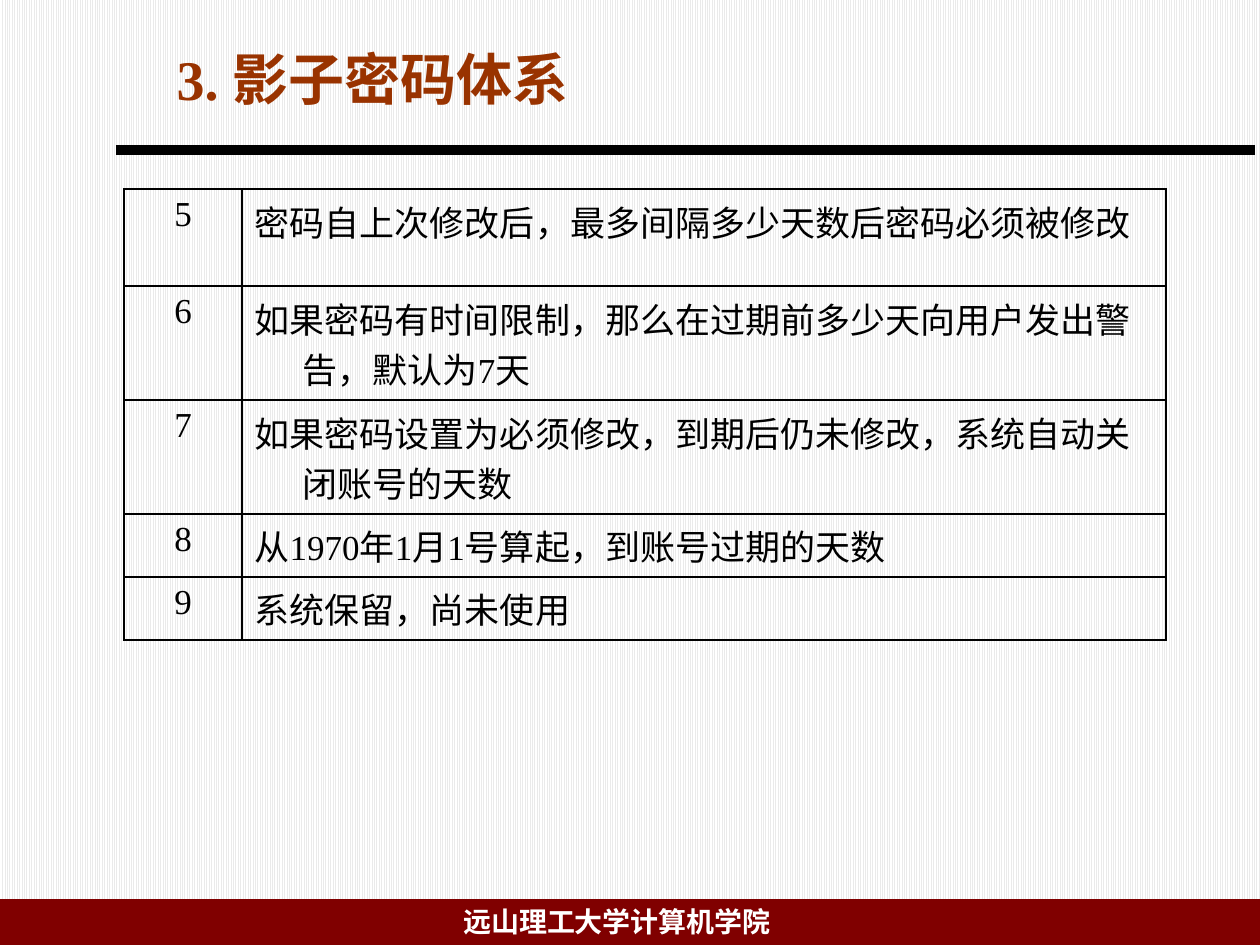
import pptx
import pptx.util
import pptx.dml.color
import pptx.enum.dml
import pptx.enum.shapes
import pptx.enum.text
import pptx.oxml.ns
from lxml import etree

# Content
TITLE = "3. 影子密码体系"
FOOTER = "远山理工大学计算机学院"
FIELDS = [
    ("5", "密码自上次修改后，最多间隔多少天数后密码必须被修改"),
    ("6", "如果密码有时间限制，那么在过期前多少天向用户发出警告，默认为7天"),
    ("7", "如果密码设置为必须修改，到期后仍未修改，系统自动关闭账号的天数"),
    ("8", "从1970年1月1号算起，到账号过期的天数"),
    ("9", "系统保留，尚未使用"),
]

# Layout in px, 126 to the inch
SLIDE_SIZE = (1260, 945)
COLUMN_WIDTHS = [118, 924]
ROW_HEIGHTS = [97, 114, 114, 63, 63]
HANGING_INDENT = 48

FONT = "Times New Roman"
BLACK = pptx.dml.color.RGBColor(0x00, 0x00, 0x00)
WHITE = pptx.dml.color.RGBColor(0xFF, 0xFF, 0xFF)
STRIPE = pptx.dml.color.RGBColor(0xEA, 0xEA, 0xEA)
RUST = pptx.dml.color.RGBColor(0x99, 0x33, 0x00)
MAROON = pptx.dml.color.RGBColor(0x80, 0x00, 0x00)
LEFT = pptx.enum.text.PP_ALIGN.LEFT
CENTER = pptx.enum.text.PP_ALIGN.CENTER


def px(length):
    return pptx.util.Emu(round(length * 914400 / 126))


def place(*lengths):
    return [px(length) for length in lengths]


def write(frame, text, size, color, bold=False, align=LEFT):
    frame.text = text
    para = frame.paragraphs[0]
    para.alignment = align
    para.font.name = FONT
    para.font.size = pptx.util.Pt(size)
    para.font.bold = bold
    para.font.color.rgb = color
    return para


def add_child(parent, tag, **attributes):
    return etree.SubElement(parent, pptx.oxml.ns.qn(tag), attributes)


def outline_cell(cell):
    properties = cell._tc.get_or_add_tcPr()
    for side in ("a:lnL", "a:lnR", "a:lnT", "a:lnB"):
        line = add_child(properties, side, w=str(pptx.util.Pt(1)))
        add_child(add_child(line, "a:solidFill"), "a:srgbClr", val=str(BLACK))


deck = pptx.Presentation()
deck.slide_width, deck.slide_height = place(*SLIDE_SIZE)
page = deck.slides.add_slide(deck.slide_layouts[5])
shapes = page.shapes

# Striped background
backdrop = page.background.fill
backdrop.patterned()
backdrop.pattern = pptx.enum.dml.MSO_PATTERN.LIGHT_VERTICAL
backdrop.fore_color.rgb = STRIPE
backdrop.back_color.rgb = WHITE

# Footer band and its text
band = shapes.add_shape(pptx.enum.shapes.MSO_SHAPE.RECTANGLE, *place(0, 899, 1260, 46))
band.shadow.inherit = False
band.fill.solid()
band.fill.fore_color.rgb = MAROON
band.line.fill.background()

footer = shapes.add_textbox(*place(451, 898, 418, 47)).text_frame
footer.word_wrap = True
footer.vertical_anchor = pptx.enum.text.MSO_ANCHOR.MIDDLE
write(footer, FOOTER, 16, WHITE, bold=True)

# Title and the rule below it
title = shapes.title
title.left, title.top, title.width, title.height = place(164, 35, 1033, 87)
title.text_frame.vertical_anchor = pptx.enum.text.MSO_ANCHOR.MIDDLE
write(title.text_frame, TITLE, 32, RUST, bold=True)

rule = shapes.add_connector(
    pptx.enum.shapes.MSO_CONNECTOR.STRAIGHT, *place(116, 150, 1255, 150))
rule.line.color.rgb = BLACK
rule.line.width = pptx.util.Pt(6)
add_child(rule._element.spPr, "a:effectLst")

# Table of password fields
table = shapes.add_table(
    len(FIELDS), len(COLUMN_WIDTHS),
    *place(124, 189, sum(COLUMN_WIDTHS), sum(ROW_HEIGHTS))).table
table.first_row = table.horz_banding = False
for column, width in zip(table.columns, COLUMN_WIDTHS):
    column.width = px(width)
for row, height, field in zip(table.rows, ROW_HEIGHTS, FIELDS):
    row.height = px(height)
    for cell, text, align in zip(row.cells, field, (CENTER, LEFT)):
        outline_cell(cell)
        cell.fill.background()
        para = write(cell.text_frame, text, 20, BLACK, align=align)
        indents = para._p.get_or_add_pPr()
        indents.set("marL", str(px(HANGING_INDENT)))
        indents.set("indent", str(-px(HANGING_INDENT)))

deck.save("out.pptx")
